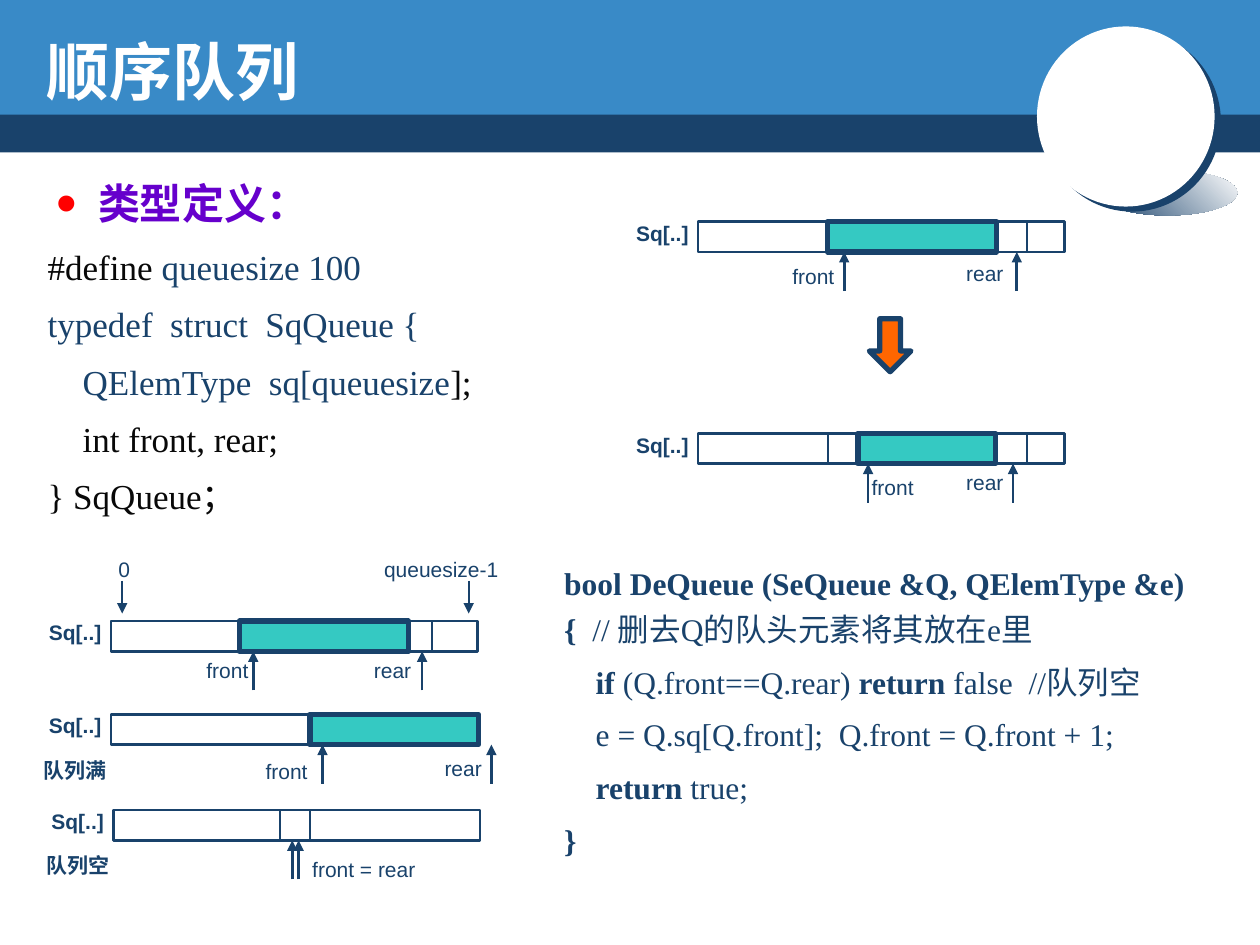
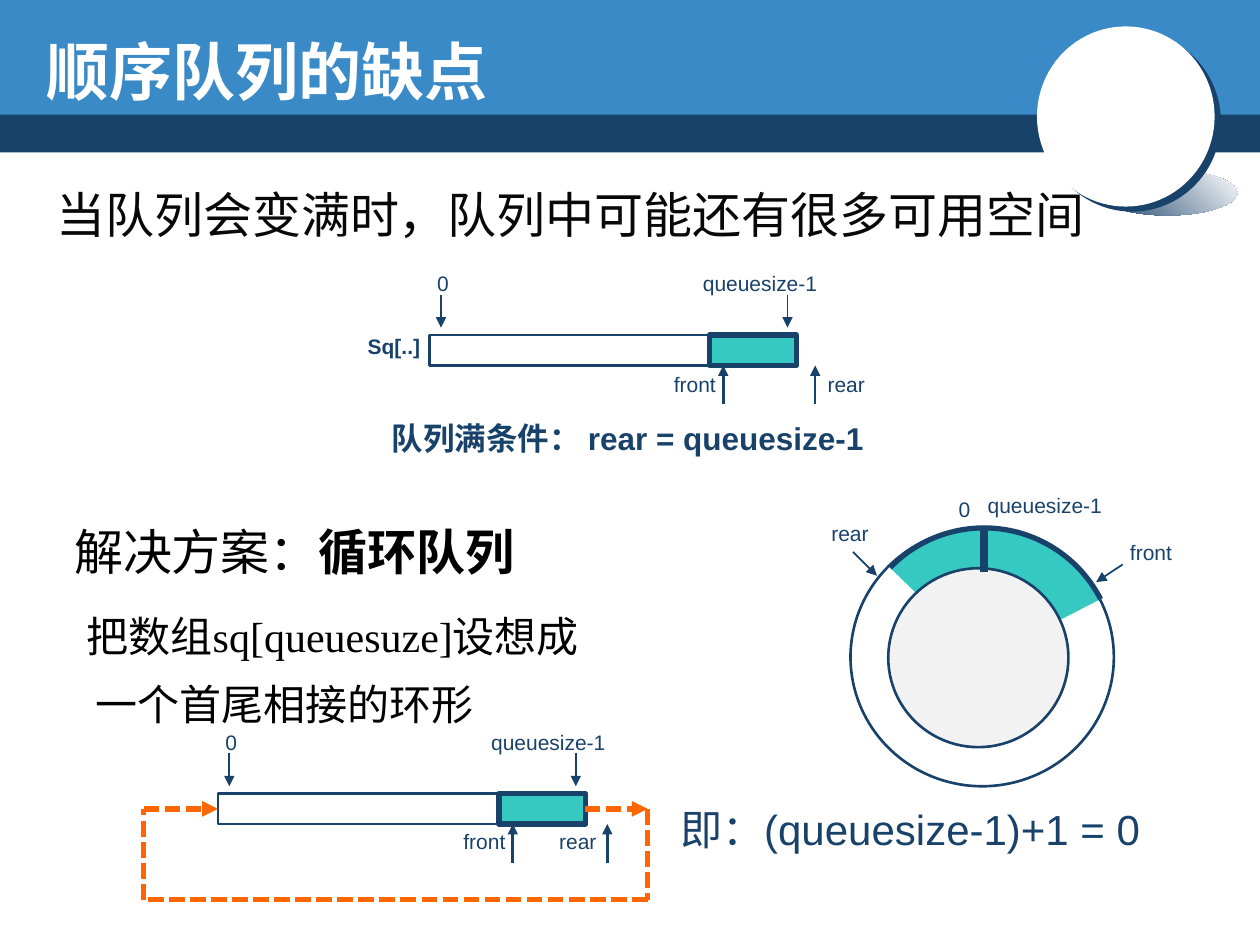
import itertools

import lxml.etree
import pptx
import pptx.dml.color
import pptx.enum.dml
import pptx.enum.shapes
import pptx.enum.text
import pptx.oxml.ns
import pptx.util

Inches = pptx.util.Inches
Pt = pptx.util.Pt
qn = pptx.oxml.ns.qn
SHAPE = pptx.enum.shapes.MSO_SHAPE

HUE = {
    "navy": "19426B", "blue": "398AC7", "white": "FFFFFF", "teal": "35C9C2",
    "orange": "FF6600", "ink": "080808", "black": "000000", "red": "FF0000",
    "purple": "6600CC", "gray": "F2F2F2",
}
SERIF, SANS = "Times New Roman", "Arial"
WIDE = {"front": 0.54, "rear": 0.5, "Sq[..]": 0.62, "0": 0.29,
        "queuesize-1": 1.11, "front = rear": 1.03, "队列满": 0.71, "队列空": 0.71}
BAR_W, BAR_H = 2.91, 0.24


def rgb(name):
    """Return a named colour."""
    return pptx.dml.color.RGBColor.from_string(HUE[name])


def style(run, size, hue, bold=False, font=SERIF):
    """Format one run."""
    run.font.name, run.font.size, run.font.bold = font, Pt(size), bold
    run.font.color.rgb = rgb(hue)


def shape(slide, kind, x, y, w, h, fill, line=None):
    """Add a filled shape with a navy outline of the given width."""
    item = slide.shapes.add_shape(kind, Inches(x), Inches(y), Inches(w), Inches(h))
    item.shadow.inherit = False
    item.fill.solid()
    item.fill.fore_color.rgb = rgb(fill)
    if line:
        item.line.color.rgb = rgb("navy")
        item.line.width = Pt(line)
    else:
        item.line.fill.background()
    return item


def stroke(slide, start, end, width=1, head=False, hue="navy", dash=False):
    """Add a straight line, with an arrowhead at its end if asked."""
    item = slide.shapes.add_connector(
        pptx.enum.shapes.MSO_CONNECTOR.STRAIGHT,
        *(Inches(n) for n in (*start, *end)))
    item.line.color.rgb = rgb(hue)
    item.line.width = Pt(width)
    if dash:
        item.line.dash_style = pptx.enum.dml.MSO_LINE.SQUARE_DOT
    props = item.element.spPr
    if head:
        lxml.etree.SubElement(props.find(qn("a:ln")), qn("a:tailEnd"), type="triangle")
    lxml.etree.SubElement(props, qn("a:effectLst"))


def label(slide, x, y, text, size=12, bold=False, w=None, h=0.3, wrap=False):
    """Add a single-style label."""
    box = slide.shapes.add_textbox(
        Inches(x), Inches(y), Inches(w or WIDE[text]), Inches(h))
    box.text_frame.word_wrap = wrap
    box.text_frame.text = text
    style(box.text_frame.paragraphs[0].runs[0], size, "navy", bold, SANS)


def prose(slide, x, y, w, h, size, lines):
    """Add lines of (runs, spacing, space before, indent); a run is text, hue, bold, size."""
    box = slide.shapes.add_textbox(Inches(x), Inches(y), Inches(w), Inches(h))
    frame = box.text_frame
    frame.word_wrap = True
    for i, (runs, gap, before, indent) in enumerate(lines):
        para = frame.add_paragraph() if i else frame.paragraphs[0]
        para.line_spacing = gap
        if before:
            para.space_before = Pt(before)
        if indent:
            para._p.get_or_add_pPr().set("marL", str(Inches(indent)))
        for text, hue, *more in runs:
            run = para.add_run()
            run.text = text
            bold, points = (*more, False, size)[:2] if len(more) != 1 else (more[0], size)
            style(run, points, hue, bold)
    return frame


def bullet(para, hang):
    """Give a paragraph a large red dot and a hanging indent."""
    props = para._p.get_or_add_pPr()
    props.set("marL", str(Inches(hang)))
    props.set("indent", str(-Inches(hang)))
    color = lxml.etree.SubElement(props, qn("a:buClr"))
    lxml.etree.SubElement(color, qn("a:srgbClr"), val=HUE["red"])
    lxml.etree.SubElement(props, qn("a:buSzPct"), val="140000")
    lxml.etree.SubElement(props, qn("a:buFont"), typeface=SANS)
    lxml.etree.SubElement(props, qn("a:buChar"), char="•")


def badge(slide, x, y):
    """Draw the white disc with its crescent and floor shade."""
    shade = shape(slide, SHAPE.OVAL, x + 0.48, y + 1.14, 1.11, 0.36, "navy")
    shade.fill.gradient()
    shade.fill.gradient_angle = 45
    for stop, hue in zip(shade.fill.gradient_stops, ("navy", "white")):
        stop.color.rgb = rgb(hue)
    for dx, dy, hue in ((0.05, 0.04, "navy"), (0, 0, "white")):
        shape(slide, SHAPE.OVAL, x + dx, y + dy, 1.41, 1.43, hue)


def page(deck, text):
    """Add a slide with bands, badge and title."""
    slide = deck.slides.add_slide(deck.slide_layouts[5])
    shape(slide, SHAPE.RECTANGLE, 0, 0.87, 10, 0.34, "navy")
    shape(slide, SHAPE.RECTANGLE, 0, 0, 10, 0.91, "blue")
    badge(slide, 8.23, 0.21)
    title = slide.shapes.title
    slide.shapes.element.append(title.element)
    title.left, title.top = Inches(0.27), Inches(0.21)
    title.width, title.height = Inches(4.67), Inches(0.7)
    frame = title.text_frame
    frame.text = text
    frame.word_wrap = True
    frame.auto_size = pptx.enum.text.MSO_AUTO_SIZE.NONE
    frame.vertical_anchor = pptx.enum.text.MSO_ANCHOR.TOP
    frame.paragraphs[0].alignment = pptx.enum.text.PP_ALIGN.LEFT
    style(frame.paragraphs[0].runs[0], 36, "white", True)
    return slide


def queue(slide, x, y, full=None, cuts=(), marks=(), name=True, ends=False, note=None):
    """Draw a queue array; marks are (text, arrow dx, label dx, label dy)."""
    shape(slide, SHAPE.RECTANGLE, x, y, BAR_W, BAR_H, "white", 1.5)
    if full:
        shape(slide, SHAPE.RECTANGLE, x + full[0], y, full[1], BAR_H, "teal", 3)
    for cut in cuts:
        stroke(slide, (x + cut, y), (x + cut, y + BAR_H))
    for text, tip, dx, dy in marks:
        stroke(slide, (x + tip, y + 0.55), (x + tip, y + BAR_H), 1.5, True)
        if text:
            label(slide, x + dx, y + dy, text)
    if name:
        label(slide, x - 0.59, y - 0.06, "Sq[..]", bold=True)
    if note:
        label(slide, x - 0.63, y + 0.29, note, bold=True)
    if ends:
        for text, dx, tip in (("0", -0.04, 0.09), ("queuesize-1", 2.07, 2.84)):
            label(slide, x + dx, y - 0.56, text)
            stroke(slide, (x + tip, y - 0.32), (x + tip, y - 0.06), 1, True)


def struct(slide, x, y):
    """Write the type definition."""
    head = prose(slide, x + 0.07, y, 2.73, 0.52, 24,
                 [([("类型定义：", "purple", True)], 1.0, 0, 0)])
    bullet(head.paragraphs[0], 0.33)
    code = [
        [("#define ", "ink"), ("queuesize 100", "navy")],
        [("typedef  struct  SqQueue {", "navy")],
        [("    QElemType  sq[queuesize", "navy"), ("];", "ink")],
        [("    int front, rear;", "ink")],
        [("} SqQueue；", "ink")],
    ]
    prose(slide, x, y + 0.58, 3.78, 2.29, 20,
          [(runs, 0.9, 11 if i else 0, 0) for i, runs in enumerate(code)])


def dequeue(slide, x, y):
    """Write the removal function."""
    code = [
        [("bool DeQueue (SeQueue &Q, QElemType &e)", True)],
        [("{  ", True), ("// 删去Q的队头元素将其放在e里", False)],
        [("    if ", True), ("(Q.front==Q.rear) ", False), ("return ", True),
         ("false  //队列空", False)],
        [("    e = Q.sq[Q.front];  Q.front = Q.front + 1;", False)],
        [("    return", True), (" true;", False)],
        [("}", True)],
    ]
    prose(slide, x, y, 5.26, 2.52, 18,
          [([(text, "navy", bold) for text, bold in runs], 1.2 if i < 2 else 1.4, 0, 0)
           for i, runs in enumerate(code)])


def ring(slide, x, y):
    """Draw the circular queue with its labels."""
    shape(slide, SHAPE.OVAL, x, y, 2.09, 2.05, "white", 1.5)
    arc = shape(slide, SHAPE.ARC, x + 0.02, y, 2.08, 2.08, "teal", 3)
    for i, angle in enumerate((224.14, 332.83)):
        arc.adjustments[i] = angle * 0.6
    shape(slide, SHAPE.OVAL, x + 0.3, y + 0.32, 1.43, 1.42, "gray", 1.5)
    stroke(slide, (x + 1.06, y), (x + 1.06, y + 0.35), 4.5)
    for text, dx, dy in (("front", 2.12, 0.04), ("rear", -0.25, -0.11),
                         ("0", 0.76, -0.3), ("queuesize-1", 0.99, -0.33)):
        label(slide, x + dx, y + dy, text)
    stroke(slide, (x + 2.16, y + 0.29), (x + 1.95, y + 0.43), 1, True)
    stroke(slide, (x + 0.02, y + 0.19), (x + 0.21, y + 0.38), 1, True)


def loop(slide, x, y):
    """Draw the dashed route from the end of an array back to its start."""
    mid, low, left, right = y + BAR_H / 2, y + 0.84, x - 0.59, x + 3.41
    back = [(right, mid), (right, low), (left, low), (left, mid), (x, mid)]
    for start, end in itertools.pairwise(back):
        stroke(slide, start, end, 3, end == back[-1], "orange", True)
    stroke(slide, (x + BAR_W, mid), (right, mid), 3, True, "orange", True)


def first(deck):
    """Build the slide on the sequential queue."""
    slide = page(deck, "顺序队列")
    struct(slide, 0.28, 1.36)
    queue(slide, 5.54, 1.76, (1.03, 1.34), [2.61],
          [("front", 1.16, 0.65, 0.28), ("rear", 2.53, 2.03, 0.26)])
    shape(slide, SHAPE.DOWN_ARROW, 6.9, 2.53, 0.33, 0.42, "orange", 3)
    queue(slide, 5.54, 3.44, (1.27, 1.09), [1.03, 1.27, 2.61],
          [("front", 1.35, 1.28, 0.28), ("rear", 2.5, 2.03, 0.24)])
    queue(slide, 0.88, 4.93, (1.02, 1.34), [2.55],
          [("front", 1.13, 0.66, 0.24), ("rear", 2.47, 1.99, 0.24)], ends=True)
    queue(slide, 0.88, 5.67, (1.58, 1.34), [],
          [("front", 1.68, 1.13, 0.3), ("rear", 3.02, 2.55, 0.28)], note="队列满")
    queue(slide, 0.9, 6.43, None, [1.32, 1.56],
          [(None, 1.42, 0, 0), ("front = rear", 1.47, 1.48, 0.32)], note="队列空")
    dequeue(slide, 4.38, 4.37)


def second(deck):
    """Build the slide on the drawback and the circular queue."""
    slide = page(deck, "顺序队列的缺点")
    prose(slide, 0.35, 1.47, 8.45, 0.53, 28,
          [([("当队列会变满时，队列中可能还有很多可用空间", "ink")], 0.9, 0, 0)])
    queue(slide, 3.41, 2.66, (2.22, 0.69), [],
          [("front", 2.33, 1.84, 0.24), ("rear", 3.06, 3.06, 0.24)], ends=True)
    label(slide, 3.01, 3.28, "队列满条件： rear = queuesize-1", 18, True, 4.01, 0.4)
    prose(slide, 0.49, 4.14, 5, 1.75, 24, [
        ([("解决方案：", "black", False, 28), ("循环队列", "black", True, 28)], 0.9, 0, 0),
        ([("把数组sq[queuesuze]设想成", "black")], 0.9, 20, 0.1),
        ([("一个首尾相接的环形", "black")], 0.9, 13, 0.17),
    ])
    queue(slide, 1.73, 6.3, (2.23, 0.69), [],
          [("front", 2.34, 1.85, 0.23), ("rear", 3.09, 2.61, 0.23)], name=False, ends=True)
    loop(slide, 1.73, 6.3)
    label(slide, 5.3, 6.33, "即：(queuesize-1)+1 = 0", 24, False, 3.89, 0.5, True)
    ring(slide, 6.75, 4.19)


def main():
    """Build and save the deck."""
    deck = pptx.Presentation()
    deck.slide_width, deck.slide_height = Inches(10), Inches(7.5)
    first(deck)
    second(deck)
    deck.save("out.pptx")


if __name__ == "__main__":
    main()
